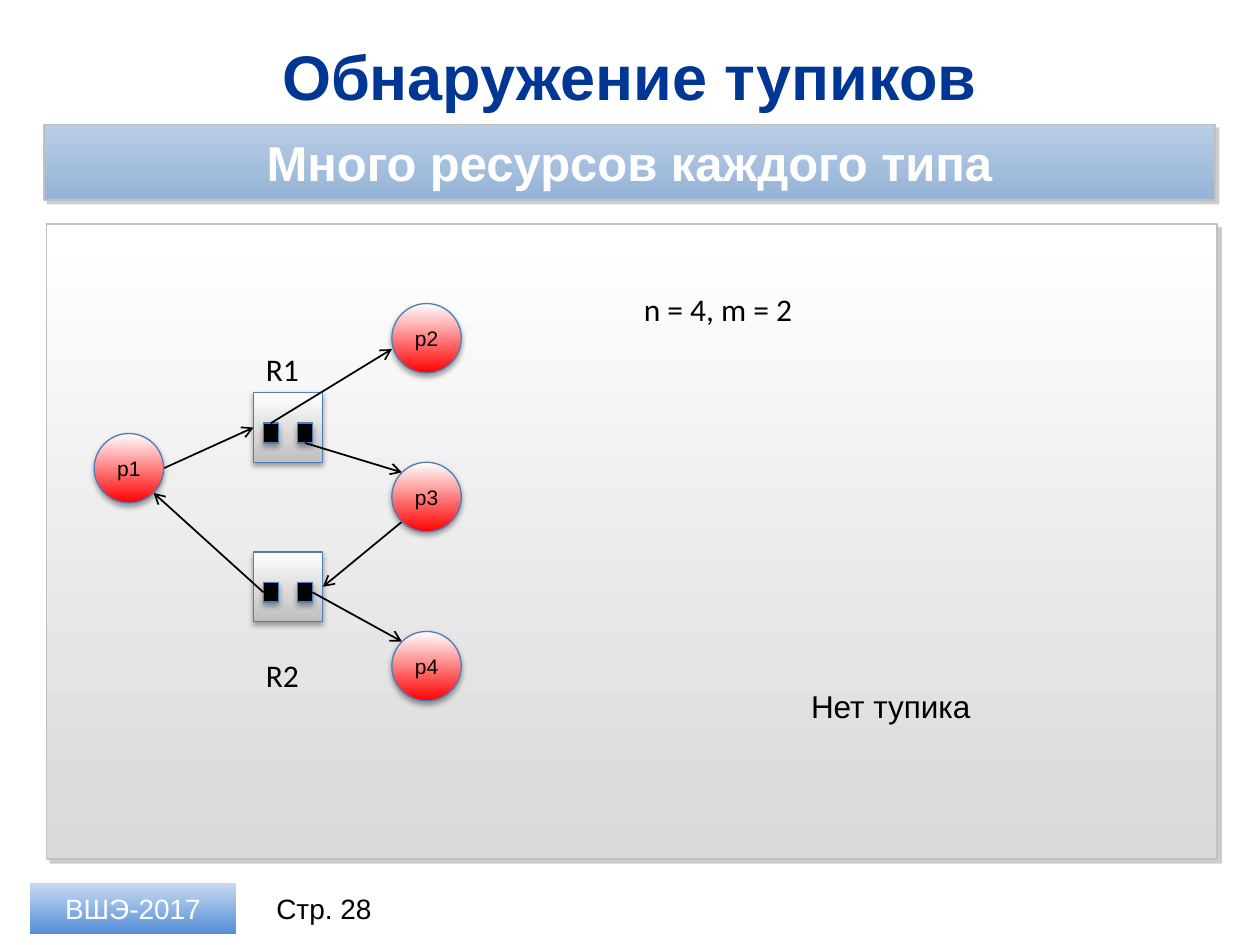
import pptx
import pptx.util
import pptx.dml.color
import pptx.enum.shapes
import pptx.enum.text
import pptx.oxml
import pptx.oxml.ns

Cm, Pt = pptx.util.Cm, pptx.util.Pt
KIND = pptx.enum.shapes.MSO_SHAPE
LINK = pptx.enum.shapes.MSO_CONNECTOR.STRAIGHT
ALIGN = pptx.enum.text.PP_ALIGN
ANCHOR = pptx.enum.text.MSO_ANCHOR
FIT = pptx.enum.text.MSO_AUTO_SIZE
qn = pptx.oxml.ns.qn

# Content, lengths in cm
TITLE = "Обнаружение тупиков"
BAND = "Много ресурсов каждого типа"
BADGE = "ВШЭ-2017"
PAGE = "Стр. 28"
NOTES = [
    ("n = 4, m = 2", (12.73, 5.72, 10.57, 1.02), "Calibri"),
    ("Нет тупика", (16.1, 13.72, 4.47, 1.02), "Arial"),
]
SIZE = 1.4                      # side of a resource, width of a process
TASKS = {"p1": (1.9, 8.74), "p2": (7.9, 6.12),
         "p3": (7.9, 9.32), "p4": (7.9, 12.73)}
POOLS = {"R1": (5.11, 7.92, 6.93), "R2": (5.11, 11.13, 13.11)}  # x, y, label y
SLOTS = (0.2, 0.89)             # offsets of the units in a resource
TOP, LEFT, BOTTOM, RIGHT = range(4)
# Resource part, its side, process, direction from the process centre
GRANTS = [
    (("R1", 0), TOP, "p2", (-1, 0.31)),
    (("R1", 1), BOTTOM, "p3", (-0.71, -0.71)),
    (("R2", 0), LEFT, "p1", (0.71, 0.71)),
    (("R2", 1), RIGHT, "p4", (-0.71, -0.71)),
]
ASKS = [
    ("R1", LEFT, "p1", (1, 0)),
    ("R2", RIGHT, "p3", (-0.71, 0.71)),
]
# Shadow: colour, opacity %, blur pt, distance pt, angle
HARD = ("808080", 40, 0, 3, 45)
SOFT = ("000000", 35, 3.1, 1.8, 90)
EDGE = ("4B7EBC", 0.75)
FRAME = ("C0C0C0", 1)


def hue(code):
    return pptx.dml.color.RGBColor.from_string(code)


def put(frame, text, size=18, font="Arial", color="000000", bold=False,
        align=ALIGN.CENTER, anchor=ANCHOR.MIDDLE):
    frame.word_wrap = True
    frame.vertical_anchor = anchor
    par = frame.paragraphs[0]
    par.alignment = align
    run = par.add_run()
    run.text = text
    run.font.size = Pt(size)
    run.font.name = font
    run.font.bold = bold
    run.font.color.rgb = hue(color)


def label(slide, text, box, **form):
    frame = slide.shapes.add_textbox(*map(Cm, box)).text_frame
    put(frame, text, **form)
    return frame


def note(slide, text, box, font):
    frame = label(slide, text, box, font=font, align=ALIGN.LEFT,
                  anchor=ANCHOR.TOP)
    frame.auto_size = FIT.SHAPE_TO_FIT_TEXT


def shade(shape, color, alpha, blur, dist, angle):
    effects = shape._element.spPr.find(qn("a:effectLst"))
    effects.append(pptx.oxml.parse_xml(
        f'<a:outerShdw {pptx.oxml.ns.nsdecls("a")} blurRad="{Pt(blur)}" '
        f'dist="{Pt(dist)}" dir="{angle * 60000}" algn="ctr" rotWithShape="0">'
        f'<a:srgbClr val="{color}"><a:alpha val="{alpha * 1000}"/></a:srgbClr>'
        f'</a:outerShdw>'))


def draw(slide, box, fill, line=None, cast=None, kind=KIND.RECTANGLE):
    """Add a shape; two fill colours run from top to bottom."""
    shape = slide.shapes.add_shape(kind, *map(Cm, box))
    if len(fill) == 2:
        shape.fill.gradient()
        shape.fill.gradient_angle = 270
        for stop, code in zip(shape.fill.gradient_stops, fill):
            stop.color.rgb = hue(code)
    else:
        shape.fill.solid()
        shape.fill.fore_color.rgb = hue(fill[0])
    if line:
        shape.line.color.rgb = hue(line[0])
        shape.line.width = Pt(line[1])
    else:
        shape.line.fill.background()
    shape.shadow.inherit = False
    if cast:
        shade(shape, *cast)
    return shape


def rim(name, way):
    """Point on the edge of a process circle."""
    return [Cm(pos + SIZE / 2 * (1 + step))
            for pos, step in zip(TASKS[name], way)]


def join(slide, part, side, point, ask):
    """Arrow from part to point, or back to the part when it asks."""
    wire = slide.shapes.add_connector(LINK, *point, *point)
    (wire.end_connect if ask else wire.begin_connect)(part, side)
    wire.line.color.rgb = hue("000000")
    wire.line.width = Pt(1)
    props = wire._element.spPr
    tip = props.find(qn("a:ln")).makeelement(qn("a:tailEnd"), {"type": "arrow"})
    props.find(qn("a:ln")).append(tip)
    props.append(props.makeelement(qn("a:effectLst"), {}))


def main():
    deck = pptx.Presentation()
    deck.slide_width, deck.slide_height = Cm(25.4), Cm(19.05)
    slide = deck.slides.add_slide(deck.slide_layouts[5])

    # Title and footer
    title = slide.shapes.title
    title.left, title.top, title.width, title.height = map(
        Cm, (0.89, 0.66, 23.6, 1.73))
    put(title.text_frame, TITLE, size=36, color="003794", bold=True)
    label(slide, PAGE, (5.16, 17.81, 2.74, 1.02), size=16)
    badge = draw(slide, (0.61, 17.81, 4.14, 1.02), ("C6D9F1", "558ED5"))
    put(badge.text_frame, BADGE, size=16, color="FFFFFF")

    # Panel and heading band
    draw(slide, (0.94, 4.52, 23.6, 12.8), ("FFFFFF", "D9D9D9"), FRAME, HARD)
    band = draw(slide, (0.89, 2.51, 23.6, 1.52), ("B9CDE5", "95B3D7"),
                FRAME, HARD)
    put(band.text_frame, BAND, size=28, color="FFFFFF", bold=True)

    # Resources with their units
    parts = {}
    for name, (x, y, high) in POOLS.items():
        parts[name] = draw(slide, (x, y, SIZE, SIZE), ("FFFFFF", "BFBFBF"),
                           EDGE, SOFT)
        note(slide, name, (x, high, SIZE, 1.02), "Calibri")
        for i, gap in enumerate(SLOTS):
            parts[name, i] = draw(slide, (x + gap, y + 0.61, 0.3, 0.4),
                                  ("000000",), EDGE, SOFT)

    # Arrows
    for links, ask in ((GRANTS, False), (ASKS, True)):
        for key, side, task, way in links:
            join(slide, parts[key], side, rim(task, way), ask)

    # Processes
    for name, (x, y) in TASKS.items():
        disc = draw(slide, (x, y, SIZE, SIZE), ("FFFFFF", "FF0000"),
                    EDGE, SOFT, KIND.OVAL)
        put(disc.text_frame, name, size=12)

    # Notes
    for text, box, font in NOTES:
        note(slide, text, box, font)

    deck.save("out.pptx")


if __name__ == "__main__":
    main()
